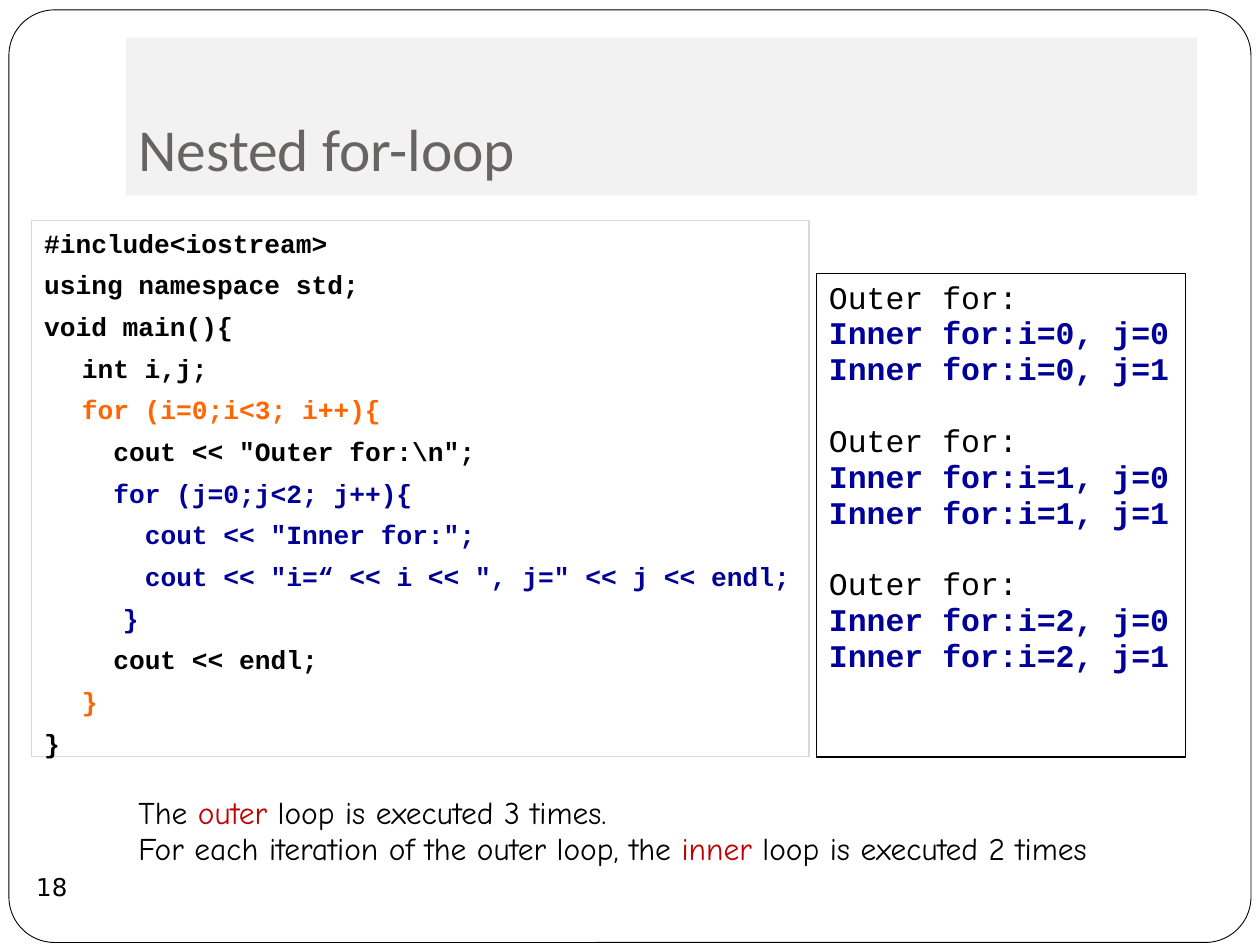
from dataclasses import dataclass

from lxml import etree
from pptx import Presentation
from pptx.dml.color import RGBColor
from pptx.enum.shapes import MSO_SHAPE as Shape
from pptx.enum.text import MSO_ANCHOR as Anchor, MSO_AUTO_SIZE as AutoSize, PP_ALIGN as Align
from pptx.util import Cm, Pt


@dataclass(frozen=True)
class Theme:
    black: str = "000000"
    white: str = "FFFFFF"
    title: str = "696464"
    band: str = "F2F2F2"
    code_border: str = "D9D9D9"
    outer: str = "FF6600"
    inner: str = "000099"
    accent: str = "C00000"
    heading_font: str = "Calibri"
    code_font: str = "Courier New"
    note_font: str = "Comic Neue"
    number_font: str = "DejaVu Sans"
    title_size: int = 34
    code_size: int = 15
    text_size: int = 18
    number_size: int = 14
    code_pitch: float = 18
    text_pitch: float = 20.5


THEME = Theme()
TAB = 0.76      # cm, first code indent
COLUMN = 0.3175  # cm, one code character

# (text, indent in cm, colour)
CODE = [
    ("#include<iostream>", 0, THEME.black),
    ("using namespace std;", 0, THEME.black),
    ("void main(){", 0, THEME.black),
    ("int i,j;", TAB, THEME.black),
    ("for (i=0;i<3; i++){", TAB, THEME.outer),
    ('cout << "Outer for:\\n";', TAB + 2 * COLUMN, THEME.black),
    ("for (j=0;j<2; j++){", TAB + 2 * COLUMN, THEME.inner),
    ('cout << "Inner for:";', TAB + 4 * COLUMN, THEME.inner),
    ('cout << "i=“ << i << ", j=" << j << endl;', TAB + 4 * COLUMN, THEME.inner),
    ("}", 5 * COLUMN, THEME.inner),
    ("cout << endl;", TAB + 2 * COLUMN, THEME.black),
    ("}", TAB, THEME.outer),
    ("}", 0, THEME.black),
]

NOTES = [
    [("The ", THEME.black), ("outer", THEME.accent),
     (" loop is executed 3 times.", THEME.black)],
    [("For each iteration of the outer loop, the ", THEME.black),
     ("inner", THEME.accent), (" loop is executed 2 times", THEME.black)],
]


def rgb(code):
    return RGBColor.from_string(code)


def set_font(font, name, size, color, bold=False):
    font.name, font.size, font.bold = name, Pt(size), bold
    font.color.rgb = rgb(color)


def place(shape, left, top, width, height):
    shape.left, shape.top = Cm(left), Cm(top)
    shape.width, shape.height = Cm(width), Cm(height)


def add_outline(slide, kind, box, fill=None, border=None, weight=0.75):
    shape = slide.shapes.add_shape(kind, *map(Cm, box))
    shape.shadow.inherit = False
    if fill:
        shape.fill.solid()
        shape.fill.fore_color.rgb = rgb(fill)
    else:
        shape.fill.background()
    if border:
        shape.line.color.rgb = rgb(border)
        shape.line.width = Pt(weight)
    else:
        shape.line.fill.background()
    return shape


def start_text(shape, anchor=Anchor.TOP, wrap=True):
    frame = shape.text_frame
    frame.word_wrap = wrap
    frame.auto_size = AutoSize.NONE
    frame.vertical_anchor = anchor
    return frame


def add_lines(frame, lines, pitch):
    """Yield one left-aligned paragraph per line, with its line."""
    for number, line in enumerate(lines):
        paragraph = frame.add_paragraph() if number else frame.paragraphs[0]
        paragraph.alignment = Align.LEFT
        paragraph.line_spacing = Pt(pitch)
        yield paragraph, line


def add_page_frame(slide):
    page = add_outline(slide, Shape.ROUNDED_RECTANGLE, (0.18, 0.2, 25.04, 18.8),
                       THEME.white, THEME.black, 0.5)
    page.adjustments[0] = 0.049
    slide.shapes.title.element.addprevious(page.element)


def format_title(slide, text):
    title = slide.shapes.title
    place(title, 2.54, 0.76, 21.59, 3.18)
    title.fill.solid()
    title.fill.fore_color.rgb = rgb(THEME.band)
    frame = start_text(title, Anchor.BOTTOM)
    frame.margin_bottom = Cm(0.25)
    frame.text = text
    heading = frame.paragraphs[0]
    heading.alignment = Align.LEFT
    set_font(heading.font, THEME.heading_font, THEME.title_size, THEME.title)


def add_page_number(slide, number):
    circle = add_outline(slide, Shape.OVAL, (0.41, 17.25, 1.27, 1.27))
    frame = start_text(circle, Anchor.MIDDLE, wrap=False)
    frame.margin_left = frame.margin_right = frame.margin_top = frame.margin_bottom = 0
    frame.text = number
    paragraph = frame.paragraphs[0]
    paragraph.alignment = Align.CENTER
    set_font(paragraph.font, THEME.number_font, THEME.number_size, THEME.black)


def add_code(slide):
    panel = add_outline(slide, Shape.RECTANGLE, (0.64, 4.45, 15.67, 10.8),
                        border=THEME.code_border)
    frame = start_text(panel)
    for paragraph, (text, indent, color) in add_lines(frame, CODE, THEME.code_pitch):
        paragraph.text = text
        paragraph.space_before = Pt(5.8)
        paragraph._p.get_or_add_pPr().set("marL", str(Cm(indent)))
        set_font(paragraph.font, THEME.code_font, THEME.code_size, color, bold=True)


def add_program_output(slide):
    panel = add_outline(slide, Shape.RECTANGLE, (16.46, 5.51, 7.44, 9.75),
                        border=THEME.black)
    lines = []
    for i in range(3):
        lines.append("Outer for:")
        lines += [f"Inner for:i={i}, j={j}" for j in range(2)]
    frame = start_text(panel)
    for paragraph, text in add_lines(frame, lines, THEME.text_pitch):
        inner = text.startswith("Inner")
        paragraph.text = text
        paragraph.space_before = Pt(0 if inner else THEME.text_pitch)
        set_font(paragraph.font, THEME.code_font, THEME.text_size,
                 THEME.inner if inner else THEME.black, bold=inner)


def add_notes_text(slide):
    box = slide.shapes.add_textbox(*map(Cm, (2.54, 15.9, 21.08, 2.44)))
    frame = start_text(box)
    for paragraph, parts in add_lines(frame, NOTES, THEME.text_pitch):
        for text, color in parts:
            run = paragraph.add_run()
            run.text = text
            set_font(run.font, THEME.note_font, THEME.text_size, color)


def main():
    deck = Presentation()
    deck.slide_width, deck.slide_height = Cm(25.4), Cm(19.05)
    slide = deck.slides.add_slide(deck.slide_layouts[5])
    add_page_frame(slide)
    format_title(slide, "Nested for-loop")
    add_page_number(slide, "18")
    add_code(slide)
    add_program_output(slide)
    add_notes_text(slide)
    deck.save("out.pptx")


if __name__ == "__main__":
    main()
